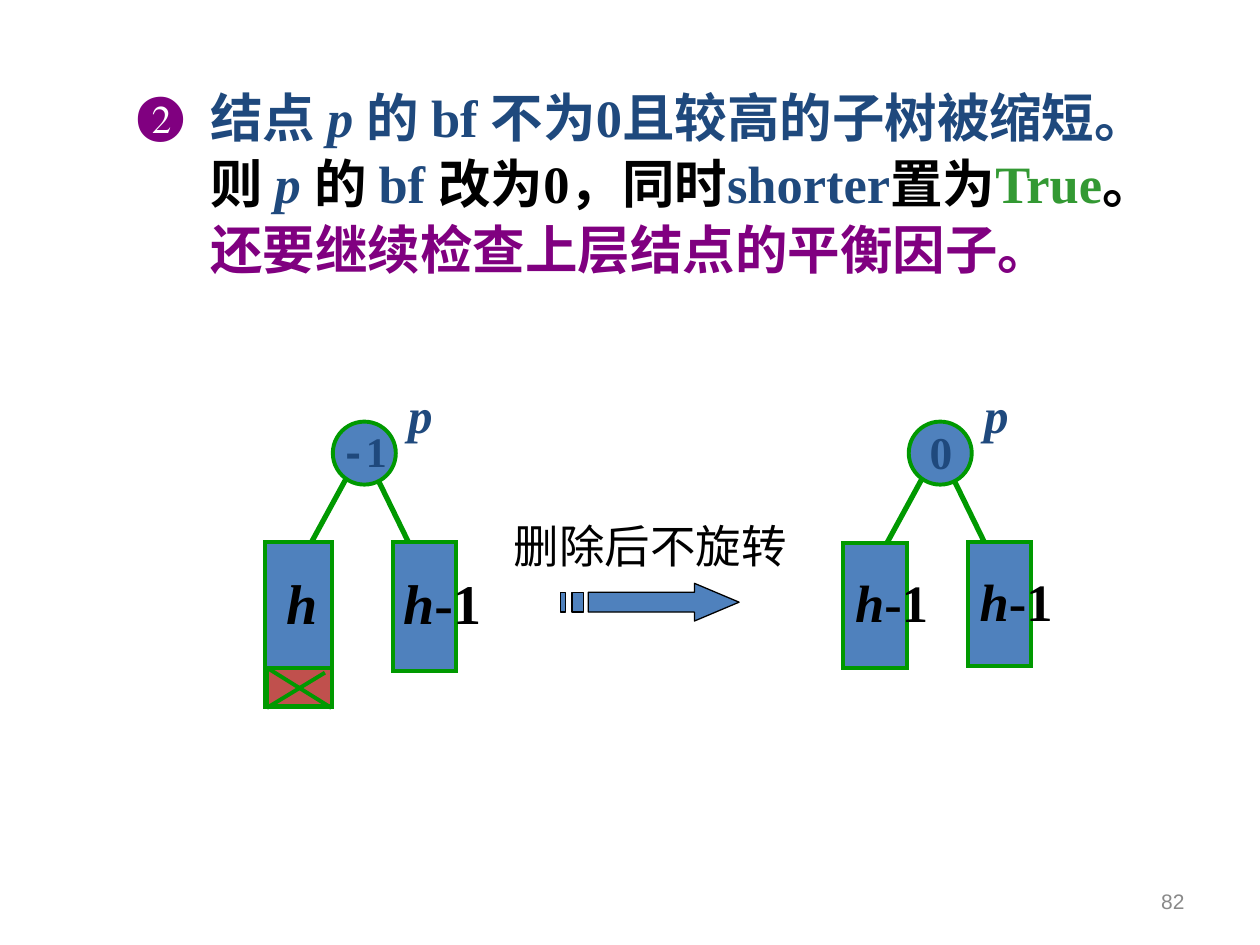
from lxml import etree
from pptx import Presentation
from pptx.dml.color import RGBColor
from pptx.enum.shapes import MSO_CONNECTOR, MSO_SHAPE
from pptx.enum.text import MSO_ANCHOR, PP_ALIGN
from pptx.oxml.ns import qn
from pptx.util import Cm, Pt

STRAIGHT = MSO_CONNECTOR.STRAIGHT
OVAL, RECTANGLE = MSO_SHAPE.OVAL, MSO_SHAPE.RECTANGLE
MIDDLE, RIGHT = MSO_ANCHOR.MIDDLE, PP_ALIGN.RIGHT

THEME = {
    "navy": RGBColor.from_string("1F497D"),
    "blue": RGBColor.from_string("4F81BD"),
    "red": RGBColor.from_string("C0504D"),
    "edge": RGBColor.from_string("009900"),
    "green": RGBColor.from_string("339933"),
    "purple": RGBColor.from_string("800080"),
    "black": RGBColor.from_string("000000"),
    "grey": RGBColor.from_string("898989"),
    "serif": "Times New Roman",
    "sans": "Arial",
    "mono": "Courier New",
    "body": Pt(30),
    "node": Pt(28),
    "balance": Pt(24),
    "caption": Pt(26),
    "height": Pt(32),
    "number": Pt(12),
    "edge_width": Pt(3),
    "outline_width": Pt(2.25),
    "arrow_width": Pt(0.75),
}


def add_text(shapes, box, runs, size, wrap=True, **common):
    """Add a text box; each run is (text, colour name, font values)."""
    shape = shapes.add_textbox(*(Cm(value) for value in box))
    shape.text_frame.word_wrap = wrap
    paragraph = shape.text_frame.paragraphs[0]
    for text, color, values in runs:
        run = paragraph.add_run()
        run.text = text
        settings = {"name": THEME["serif"], "size": size, **common, **values}
        for attribute, value in settings.items():
            setattr(run.font, attribute, value)
        run.font.color.rgb = THEME[color]
    return shape.text_frame


def add_line(shapes, points, width):
    connector = shapes.add_connector(STRAIGHT, *(Cm(value) for value in points))
    connector.line.color.rgb = THEME["edge"]
    connector.line.width = width
    etree.SubElement(connector._element.spPr, qn("a:effectLst"))


presentation = Presentation()
presentation.slide_width, presentation.slide_height = Cm(25.4), Cm(19.05)
slide = presentation.slides.add_slide(presentation.slide_layouts[6])

ITALIC = {"italic": True}

# Explanation with a numbered bullet
body = add_text(slide.shapes, (1.25, 1.52, 22.86, 7.09), [
    ("结点 ", "navy", {}),
    ("p ", "navy", ITALIC),
    ("的 bf 不为0且较高的子树被缩短。", "navy", {}),
    ("则 ", "black", {}),
    ("p ", "navy", ITALIC),
    ("的 ", "black", {}),
    ("bf ", "navy", {}),
    ("改为0，同时", "black", {}),
    ("shorter", "navy", {}),
    ("置为", "black", {}),
    ("True", "green", {}),
    ("。", "black", {}),
    ("还要继续检查上层结点的平衡因子。", "purple", {}),
], THEME["body"], bold=True)
paragraph = body.paragraphs[0]
properties = paragraph._p.get_or_add_pPr()
properties.set("marL", str(Cm(2.74)))
properties.set("indent", str(Cm(-1.47)))
properties.set("hangingPunct", "0")
bullet_color = etree.SubElement(properties, qn("a:buClr"))
etree.SubElement(bullet_color, qn("a:srgbClr"), val=str(THEME["purple"]))
etree.SubElement(properties, qn("a:buFont"), typeface=THEME["serif"])
etree.SubElement(properties, qn("a:buChar"), char="❷")
paragraph.line_spacing = 1.05

# Page number
number = add_text(slide.shapes, (18.21, 17.65, 5.92, 1.02),
                  [("82", "grey", {"name": THEME["sans"]})], THEME["number"])
number.vertical_anchor = MIDDLE
number.paragraphs[0].alignment = RIGHT

# Striped arrow: a head with its shaft, then two stripes
top, bottom = 11.94, 12.34
contours = [
    [(14, 11.76), (14, top), (11.86, top), (11.86, bottom),
     (14, bottom), (14, 12.52), (14.9, 12.14)],
]
for left, right in ((11.53, 11.76), (11.3, 11.4)):
    contours.append([(left, top), (left, bottom), (right, bottom), (right, top)])
contours = [[(Cm(x), Cm(y)) for x, y in contour] for contour in contours]
builder = slide.shapes.build_freeform(*contours[0][0])
builder.add_line_segments(contours[0][1:], close=True)
for contour in contours[1:]:
    builder.move_to(*contour[0])
    builder.add_line_segments(contour[1:], close=True)
arrow = builder.convert_to_shape()
arrow.shadow.inherit = False
arrow.fill.solid()
arrow.fill.fore_color.rgb = THEME["blue"]
arrow.line.color.rgb = THEME["black"]
arrow.line.width = THEME["arrow_width"]
add_text(slide.shapes, (10.11, 10.31, 6.02, 1.37),
         [("删除后不旋转", "black", {})], THEME["caption"], wrap=False)

# Trees before and after the deletion
H = ("h", "black", ITALIC)
H_LESS_ONE = [H, ("-1", "black", {})]
trees = [
    {
        "shift": 0,
        "subtrees": [((5.34, 10.92, 1.35, 3.33), "blue"),
                     ((7.92, 10.92, 1.27, 2.6), "blue"),
                     ((5.39, 13.46, 1.3, 0.77), "red")],
        "cross": [(6.55, 13.56, 5.38, 14.27), (5.38, 13.46, 6.68, 14.27)],
        "labels": [
            ((6.62, 8.45, 1.47, 1.27),
             [("-", "navy", {"name": THEME["mono"]}), ("1", "navy", {})],
             THEME["balance"]),
            ((5.53, 11.33, 1.07, 1.63), [H], THEME["height"]),
            ((7.88, 11.33, 2.21, 1.63), H_LESS_ONE, THEME["height"]),
        ],
    },
    {
        "shift": 11.61,
        "subtrees": [((16.99, 10.94, 1.3, 2.53), "blue"),
                     ((19.51, 10.93, 1.27, 2.49), "blue")],
        "cross": [],
        "labels": [
            ((18.49, 8.42, 1.47, 1.37), [("0", "navy", {})], THEME["caption"]),
            ((16.99, 11.36, 2.11, 1.52), H_LESS_ONE, THEME["body"]),
            ((19.5, 11.34, 2.11, 1.52), H_LESS_ONE, THEME["body"]),
        ],
    },
]
for tree in trees:
    shapes = slide.shapes.add_group_shape().shapes
    shift = tree["shift"]
    add_text(shapes, (7.98 + shift, 7.62, 1.32, 1.45),
             [("p", "navy", ITALIC)], THEME["node"], bold=True)

    # Edges lie behind the node and the subtrees
    for x1, y1, x2, y2 in ((7.56, 9.55, 8.6, 11.68), (7.14, 9.35, 5.87, 11.68)):
        add_line(shapes, (x1 + shift, y1, x2 + shift, y2), THEME["edge_width"])

    node = (OVAL, (6.71 + shift, 8.5, 1.27, 1.27), "blue")
    subtrees = [(RECTANGLE, box, color) for box, color in tree["subtrees"]]
    for kind, box, color in [node, *subtrees]:
        shape = shapes.add_shape(kind, *(Cm(value) for value in box))
        shape.shadow.inherit = False
        shape.fill.solid()
        shape.fill.fore_color.rgb = THEME[color]
        shape.line.color.rgb = THEME["edge"]
        shape.line.width = THEME["outline_width"]
        outline = shape._element.spPr.find(qn("a:ln"))
        etree.SubElement(outline, qn("a:miter"), lim="800000")

    # Cross over the removed part, then the labels
    for points in tree["cross"]:
        add_line(shapes, points, THEME["outline_width"])
    for box, runs, size in tree["labels"]:
        add_text(shapes, box, runs, size, bold=True)

presentation.save("out.pptx")
